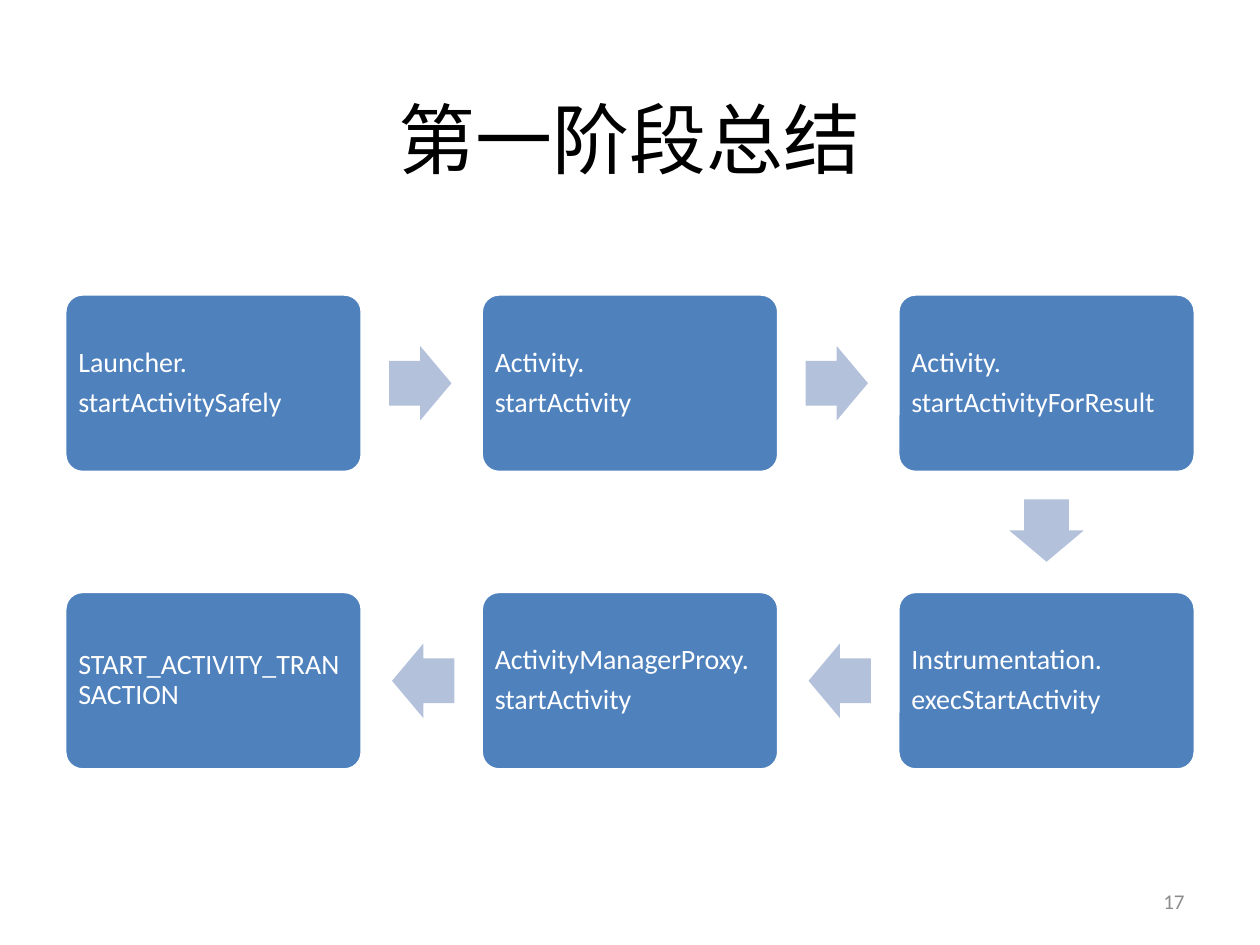
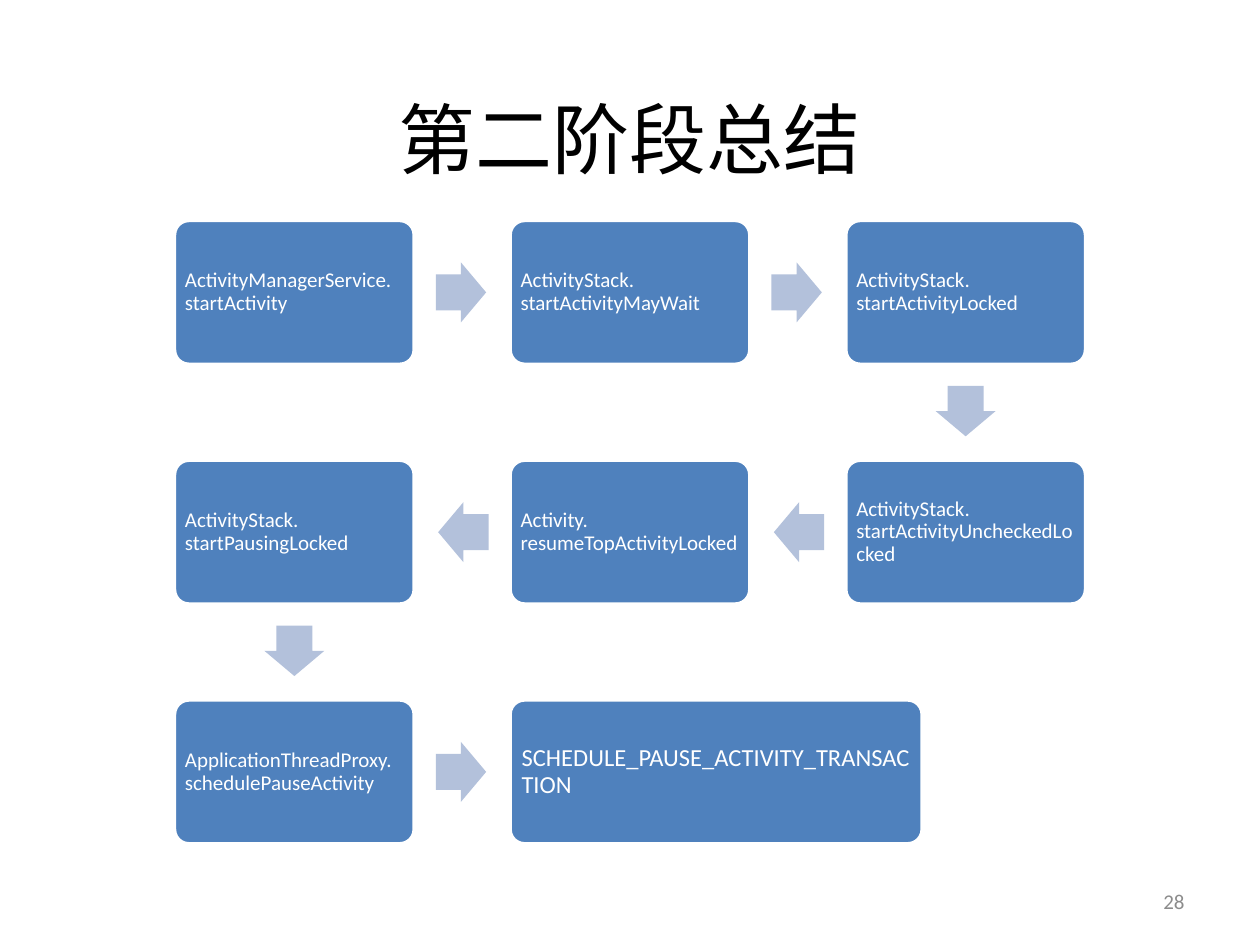
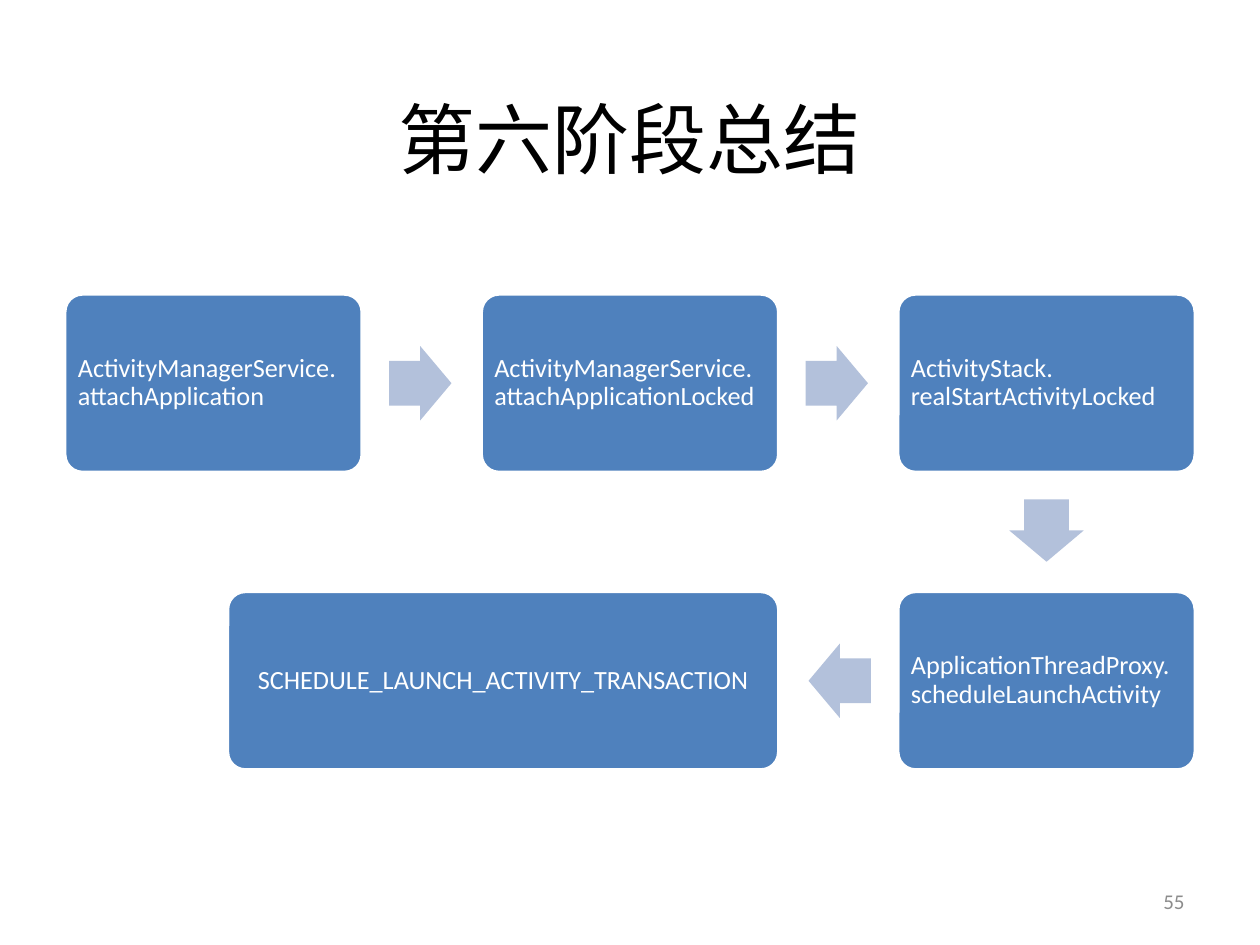
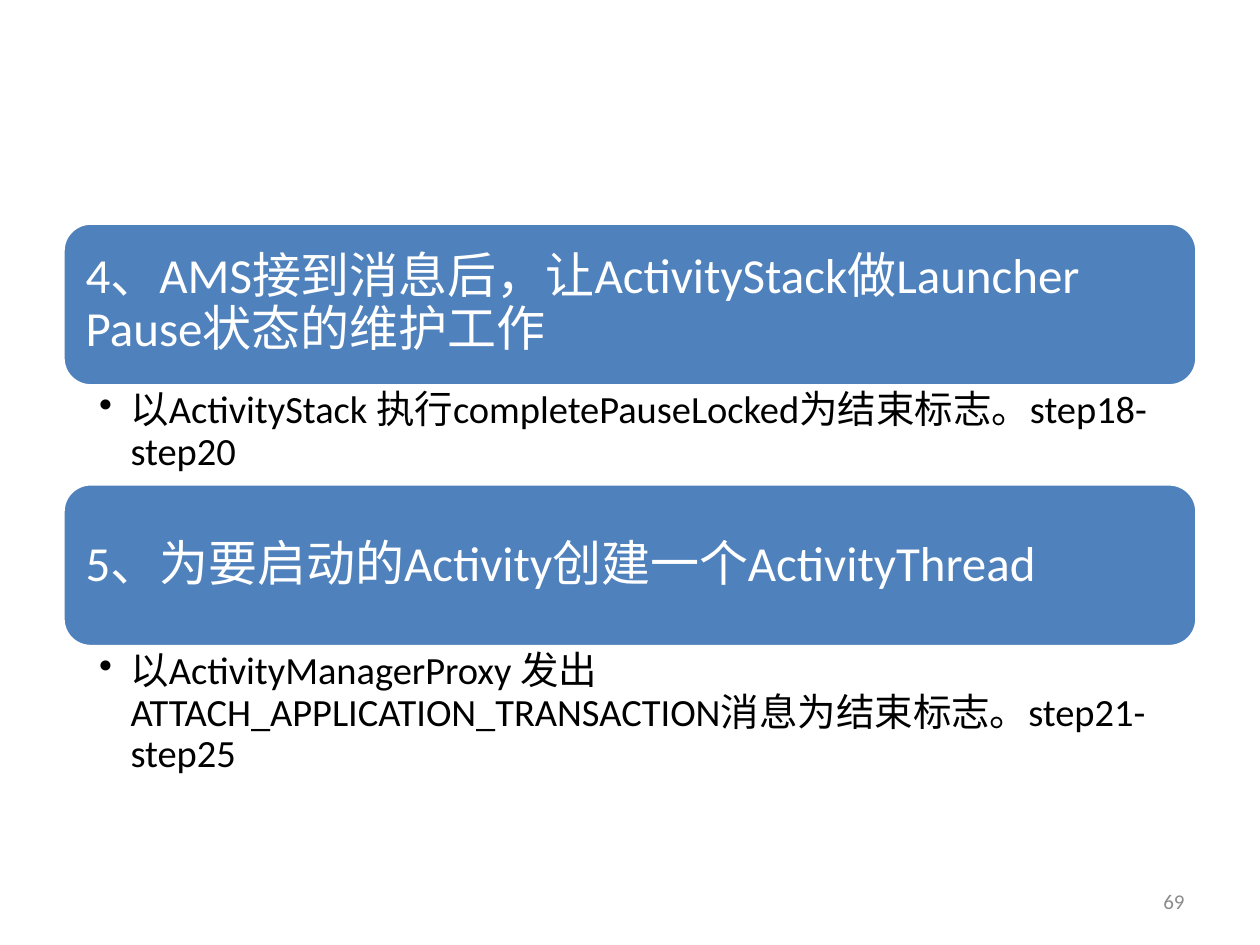
from lxml.etree import SubElement
from pptx import Presentation
from pptx.dml.color import RGBColor
from pptx.enum.shapes import MSO_SHAPE
from pptx.enum.text import MSO_ANCHOR, PP_ALIGN
from pptx.oxml.ns import qn
from pptx.util import Pt

# Shared look
FONT = "Calibri"
BLUE = RGBColor(0x4F, 0x81, 0xBD)
PALE_BLUE = RGBColor(0xB3, 0xC1, 0xDB)
WHITE = RGBColor(0xFF, 0xFF, 0xFF)
BLACK = RGBColor(0x00, 0x00, 0x00)
GREY = RGBColor(0x8C, 0x8C, 0x8C)
PAGE_WIDTH, PAGE_HEIGHT = 720, 540
MARGIN = 36

# Flow proportions, relative to the width of one step
COLUMNS = 3
STEP_HEIGHT = 0.6
STEP_GAP = 0.4
ARROW_OFFSET = 0.09
ARROW_LENGTH, ARROW_BREADTH = 0.21, 0.25

# Line breaks: "\n" starts a paragraph, "\v" a line
FIRST_STAGE = [
    "Launcher.\nstartActivitySafely",
    "Activity.\nstartActivity",
    "Activity.\nstartActivityForResult",
    "Instrumentation.\nexecStartActivity",
    "ActivityManagerProxy.\nstartActivity",
    "START_ACTIVITY_TRANSACTION",
]
SECOND_STAGE = [
    "ActivityManagerService.\vstartActivity",
    "ActivityStack.\vstartActivityMayWait",
    "ActivityStack.\vstartActivityLocked",
    "ActivityStack.\vstartActivityUncheckedLocked",
    "Activity.\vresumeTopActivityLocked",
    "ActivityStack.\vstartPausingLocked",
    "ApplicationThreadProxy.\vschedulePauseActivity",
    "SCHEDULE_PAUSE_ACTIVITY_TRANSACTION",
]
SIXTH_STAGE = [
    "ActivityManagerService.\vattachApplication",
    "ActivityManagerService.\vattachApplicationLocked",
    "ActivityStack.\vrealStartActivityLocked",
    "ApplicationThreadProxy.\vscheduleLaunchActivity",
    "SCHEDULE_LAUNCH_ACTIVITY_TRANSACTION",
]
# Heading, detail, height of the detail
SUMMARY = [
    ("4、AMS接到消息后，让ActivityStack做Launcher Pause状态的维护工作",
     "以ActivityStack 执行completePauseLocked为结束标志。step18-step20", 56),
    ("5、为要启动的Activity创建一个ActivityThread",
     "以ActivityManagerProxy 发出ATTACH_APPLICATION_TRANSACTION消息为结束标志。"
     "step21-step25", 111.6),
]


def write_text(frame, text, size, color, align=PP_ALIGN.LEFT,
               anchor=MSO_ANCHOR.MIDDLE, space_after=None):
    """Fill a text frame; space_after is a share of the text size."""
    frame.text = text
    frame.word_wrap = True
    frame.vertical_anchor = anchor
    for para in frame.paragraphs:
        para.alignment = align
        if space_after is not None:
            para.line_spacing = 0.9
            para.space_after = Pt(round(space_after * size, 1))
        for span in para.runs:
            span.font.name = FONT
            span.font.size = Pt(size)
            span.font.color.rgb = color


def set_insets(frame, left, top, right, bottom):
    frame.margin_left, frame.margin_top = Pt(left), Pt(top)
    frame.margin_right, frame.margin_bottom = Pt(right), Pt(bottom)


def add_text(page, left, top, width, height, text, size, color, **style):
    box = page.shapes.add_textbox(Pt(left), Pt(top), Pt(width), Pt(height))
    write_text(box.text_frame, text, size, color, **style)
    return box


def add_page(deck, number, title=None):
    page = deck.slides.add_slide(deck.slide_layouts[6])
    if title:
        add_text(page, MARGIN, 39.6, PAGE_WIDTH - 2 * MARGIN, 78.5, title,
                 44, BLACK, align=PP_ALIGN.CENTER)
    add_text(page, 516, 500.5, 168, 28.75, str(number), 12, GREY,
             align=PP_ALIGN.RIGHT)
    return page


def add_box(page, left, top, width, height, text, size,
            align=PP_ALIGN.LEFT, corner=0.1):
    box = page.shapes.add_shape(MSO_SHAPE.ROUNDED_RECTANGLE, Pt(left),
                                Pt(top), Pt(width), Pt(height))
    box.adjustments[0] = corner
    box.shadow.inherit = False
    box.fill.solid()
    box.fill.fore_color.rgb = BLUE
    box.line.color.rgb = WHITE
    box.line.width = Pt(2)
    set_insets(box.text_frame, *[0.3 * size] * 4)
    write_text(box.text_frame, text, size, WHITE, align=align, space_after=0.35)


def add_arrow(page, center_x, center_y, length, breadth, rotation):
    arrow = page.shapes.add_shape(
        MSO_SHAPE.RIGHT_ARROW, Pt(center_x - length / 2),
        Pt(center_y - breadth / 2), Pt(length), Pt(breadth))
    arrow.adjustments[0], arrow.adjustments[1] = 0.6, 0.5
    arrow.rotation = rotation
    arrow.shadow.inherit = False
    arrow.fill.solid()
    arrow.fill.fore_color.rgb = PALE_BLUE
    arrow.line.fill.background()


def add_flow(page, steps, top, width, size, last_width=None, last_size=None,
             last_align=PP_ALIGN.LEFT):
    """Lay steps out in rows that run right, then left, joined by arrows."""
    height = STEP_HEIGHT * width
    pitch_x, pitch_y = width * (1 + STEP_GAP), height + STEP_GAP * width
    first_left = (PAGE_WIDTH - (COLUMNS - 1) * pitch_x - width) / 2
    reach = (ARROW_OFFSET + ARROW_LENGTH / 2) * width

    for index, text in enumerate(steps):
        row, column = divmod(index, COLUMNS)
        leftward = row % 2 == 1
        if leftward:
            column = COLUMNS - 1 - column
        left, step_top = first_left + column * pitch_x, top + row * pitch_y

        # The last step may be wider, growing along its row
        if index == len(steps) - 1:
            full_width = last_width or width
            if leftward:
                left -= full_width - width
            add_box(page, left, step_top, full_width, height, text,
                    last_size or size, last_align)
            break
        add_box(page, left, step_top, width, height, text, size)

        # Arrow to the next step
        center_x, center_y = left + width / 2, step_top + height / 2
        if (index + 1) % COLUMNS == 0:
            center_y += height / 2 + reach
            rotation = 90
        else:
            center_x += (width / 2 + reach) * (-1 if leftward else 1)
            rotation = 180 if leftward else 0
        add_arrow(page, center_x, center_y, ARROW_LENGTH * width,
                  ARROW_BREADTH * width, rotation)


def add_bullet(para):
    properties = para._p.get_or_add_pPr()
    properties.set("marL", str(Pt(18)))
    properties.set("indent", str(-Pt(18)))
    SubElement(properties, qn("a:buChar"), char="•")


def add_summary(page, points):
    top, heading_height = 127.5, 93
    width = PAGE_WIDTH - 2 * MARGIN
    for heading, detail, detail_height in points:
        add_box(page, MARGIN, top, width, heading_height, heading, 28,
                corner=0.17)
        top += heading_height
        box = add_text(page, MARGIN, top, width, detail_height, detail, 22,
                       BLACK, anchor=MSO_ANCHOR.TOP, space_after=0.2)
        set_insets(box.text_frame, 20.6, 2.8, 15.6, 2.8)
        add_bullet(box.text_frame.paragraphs[0])
        top += detail_height


def main():
    deck = Presentation()
    deck.slide_width, deck.slide_height = Pt(PAGE_WIDTH), Pt(PAGE_HEIGHT)

    add_flow(add_page(deck, 17, "第一阶段总结"), FIRST_STAGE, 168, 170, 16)
    add_flow(add_page(deck, 28, "第二阶段总结"), SECOND_STAGE, 126, 137, 12,
             last_width=235.5, last_size=14)
    add_flow(add_page(deck, 55, "第六阶段总结"), SIXTH_STAGE, 168, 170, 15,
             last_width=315, last_align=PP_ALIGN.CENTER)
    add_summary(add_page(deck, 69), SUMMARY)

    deck.save("out.pptx")


if __name__ == "__main__":
    main()
